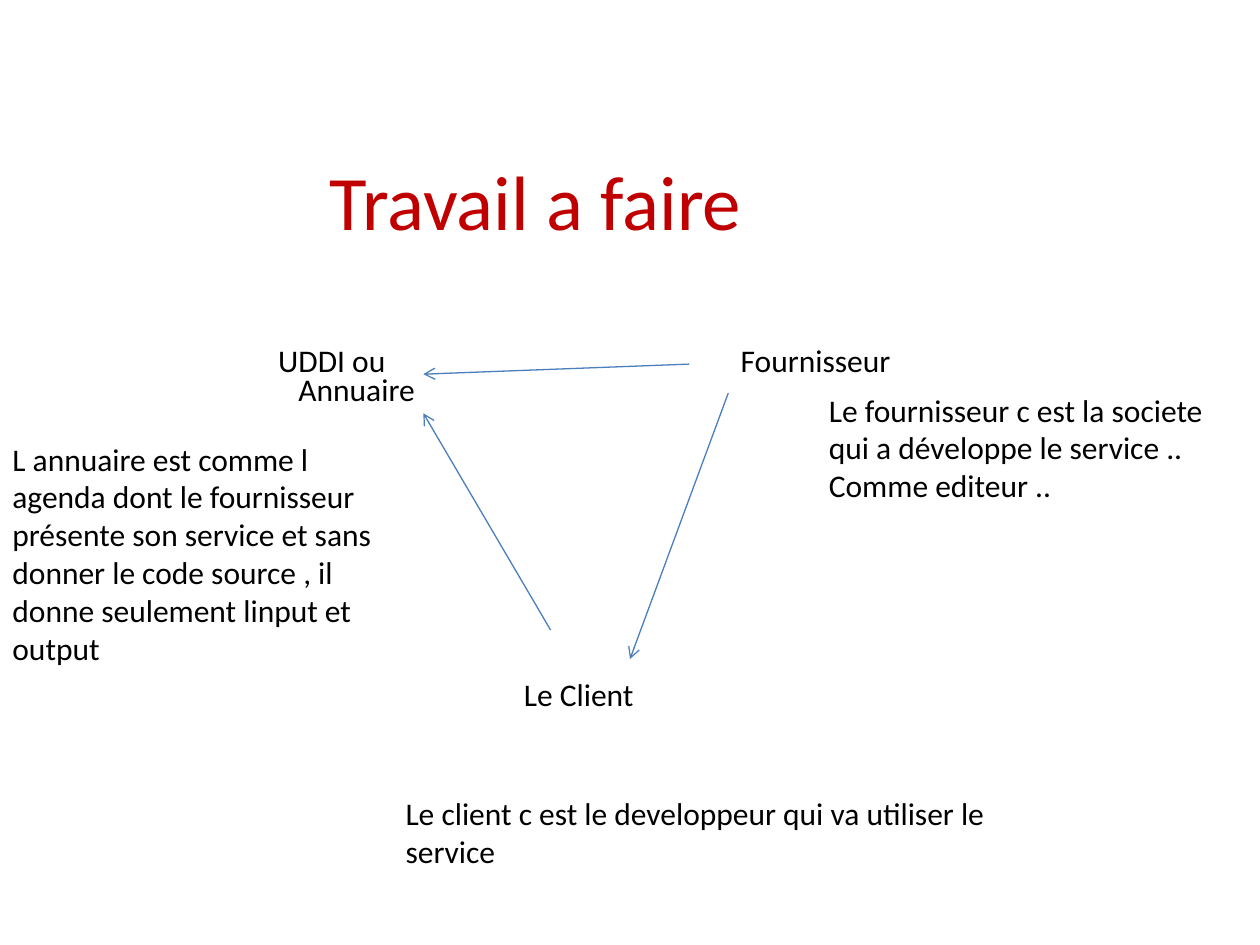
"""Build the slide on the roles of a web service: directory, supplier, client."""
from lxml import etree
from pptx import Presentation
from pptx.dml.color import RGBColor
from pptx.enum.shapes import MSO_CONNECTOR
from pptx.enum.text import MSO_ANCHOR, PP_ALIGN
from pptx.oxml.ns import qn
from pptx.util import Inches, Pt

STRAIGHT = MSO_CONNECTOR.STRAIGHT
TOP, MIDDLE = MSO_ANCHOR.TOP, MSO_ANCHOR.MIDDLE
LEFT, CENTER = PP_ALIGN.LEFT, PP_ALIGN.CENTER
COLORS = {"title": "C00000", "text": "000000", "arrow": "4B7EBC"}

deck = Presentation()
deck.slide_width, deck.slide_height = Inches(10), Inches(7.5)
slide = deck.slides.add_slide(deck.slide_layouts[6])


def add_text(text, box, size=18, color="text", align=LEFT, anchor=TOP):
    frame = slide.shapes.add_textbox(*map(Inches, box)).text_frame
    frame.word_wrap = True
    frame.vertical_anchor = anchor
    para = frame.paragraphs[0]
    para.alignment = align
    run = para.add_run()
    run.text = text
    run.font.name = "Calibri"
    run.font.size = Pt(size)
    run.font.color.rgb = RGBColor.from_string(COLORS[color])


add_text("Travail a faire", (0, 0.78, 8.5, 1.61), size=44, color="title",
         align=CENTER, anchor=MIDDLE)

labels = [
    ("Le Client", (4.06, 5.31, 2.5, 0.4)),
    ("Fournisseur", (5.78, 2.66, 2.89, 0.4)),
    ("Annuaire", (2.27, 2.89, 2.81, 0.4)),
    ("UDDI ou", (2.11, 2.66, 1.09, 0.4)),
    ("Le fournisseur c est la societe qui a développe le service .. "
     "Comme editeur ..", (6.48, 3.05, 3.28, 1.01)),
    ("L annuaire est comme l agenda dont le fournisseur présente son service "
     "et sans donner le code source , il donne seulement linput et output",
     (0, 3.44, 3.12, 1.92)),
    ("Le client c est le developpeur qui va utiliser le service",
     (3.12, 6.25, 5.31, 0.71)),
]
for text, box in labels:
    add_text(text, box)

arrows = [
    (5.47, 2.89, 3.36, 2.97),
    (5.78, 3.12, 5, 5.23),
    (4.37, 5, 3.36, 3.28),
]
for ends in arrows:
    arrow = slide.shapes.add_connector(STRAIGHT, *map(Inches, ends))
    arrow.line.width = Pt(0.75)
    arrow.line.color.rgb = RGBColor.from_string(COLORS["arrow"])
    props = arrow._element.spPr
    etree.SubElement(props.find(qn("a:ln")), qn("a:tailEnd"), type="arrow")
    etree.SubElement(props, qn("a:effectLst"))

deck.save("out.pptx")
